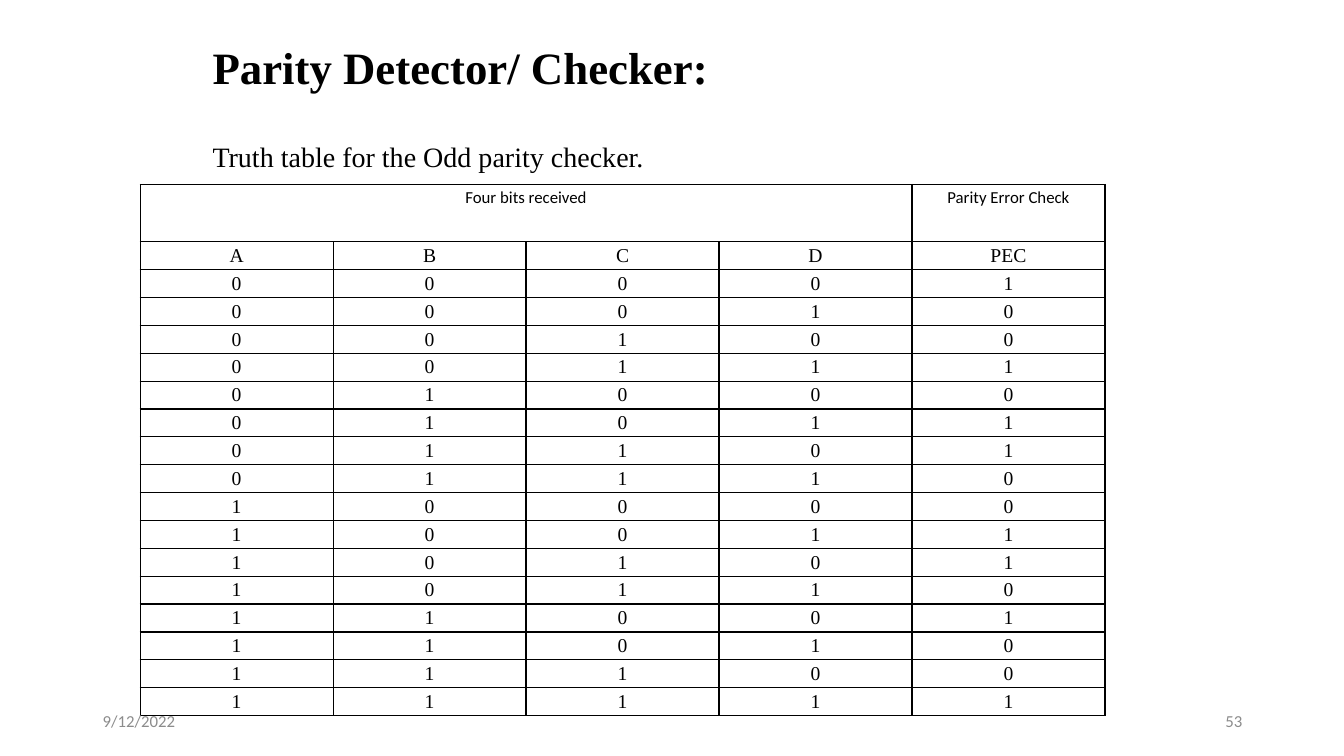
from itertools import product

from lxml import etree
from pptx import Presentation
from pptx.dml.color import RGBColor
from pptx.enum.text import MSO_ANCHOR as ANCHOR, PP_ALIGN as ALIGN
from pptx.oxml.ns import qn
from pptx.util import Inches, Pt

# Content
TITLE = "Parity Detector/ Checker:"
SUBTITLE = "Truth table for the Odd parity checker."
GROUPS = ["Four bits received", "", "", "", "Parity Error Check"]
COLUMNS = ["A", "B", "C", "D", "PEC"]
# The check bit is 1 when the received bits hold an even number of ones
TRUTH = [[*bits, 1 - sum(bits) % 2] for bits in product((0, 1), repeat=4)]
ROWS = [GROUPS, COLUMNS] + TRUTH
DATE, NUMBER = "9/12/2022", "53"

# Format
BLACK = RGBColor(0x00, 0x00, 0x00)
GRAY = RGBColor(0x8C, 0x8C, 0x8C)
SERIF, SANS = "Times New Roman", "Calibri"
TABLE_X, TABLE_Y, TABLE_W, TABLE_H = 1.39, 1.83, 9.57, 5.27
HEAD_H = 0.57


def write(tf, text, size, font=SERIF, color=BLACK, bold=False,
          align=ALIGN.LEFT, spacing=1.0):
    p = tf.paragraphs[0]
    p.alignment = align
    p.line_spacing = spacing
    r = p.add_run()
    r.text = text
    r.font.size = Pt(size)
    r.font.name = font
    r.font.bold = bold
    r.font.color.rgb = color


def add_text(s, x, y, w, h, text, size, **fmt):
    tf = s.shapes.add_textbox(Inches(x), Inches(y), Inches(w), Inches(h)).text_frame
    tf.word_wrap = True
    tf.vertical_anchor = ANCHOR.MIDDLE
    write(tf, text, size, **fmt)


def set_borders(cell):
    tcPr = cell._tc.get_or_add_tcPr()
    for i, side in enumerate(("a:lnL", "a:lnR", "a:lnT", "a:lnB")):
        ln = etree.Element(qn(side), w=str(Pt(1)))
        fill = etree.SubElement(ln, qn("a:solidFill"))
        etree.SubElement(fill, qn("a:srgbClr"), val=str(BLACK))
        tcPr.insert(i, ln)


prs = Presentation()
prs.slide_width, prs.slide_height = Inches(13.33), Inches(7.5)
s = prs.slides.add_slide(prs.slide_layouts[6])

# Headings
add_text(s, 2.01, 0.34, 8.67, 0.71, TITLE, 32, bold=True, spacing=0.9)
add_text(s, 2.01, 1.37, 8.67, 0.4, SUBTITLE, 20, spacing=0.9)

# Slide number
add_text(s, 9.42, 6.95, 3, 0.4, NUMBER, 12, font=SANS, color=GRAY, align=ALIGN.RIGHT)

# Truth table
table = s.shapes.add_table(len(ROWS), len(COLUMNS), Inches(TABLE_X), Inches(TABLE_Y),
                           Inches(TABLE_W), Inches(TABLE_H)).table
table.first_row = table.horz_banding = False
for col in table.columns:
    col.width = Inches(TABLE_W / len(COLUMNS))
for i, row in enumerate(table.rows):
    row.height = Inches(HEAD_H if i == 0 else (TABLE_H - HEAD_H) / (len(ROWS) - 1))
    for cell, value in zip(row.cells, ROWS[i]):
        cell.margin_left = cell.margin_right = Inches(0.07)
        cell.margin_top = cell.margin_bottom = 0
        cell.fill.background()
        set_borders(cell)
        write(cell.text_frame, str(value), 12 if i == 0 else 14,
              font=SANS if i == 0 else SERIF, align=ALIGN.CENTER, spacing=1.15)
table.cell(0, 0).merge(table.cell(0, 3))

# Date
add_text(s, 0.92, 6.95, 3, 0.4, DATE, 12, font=SANS, color=GRAY)

prs.save("out.pptx")
